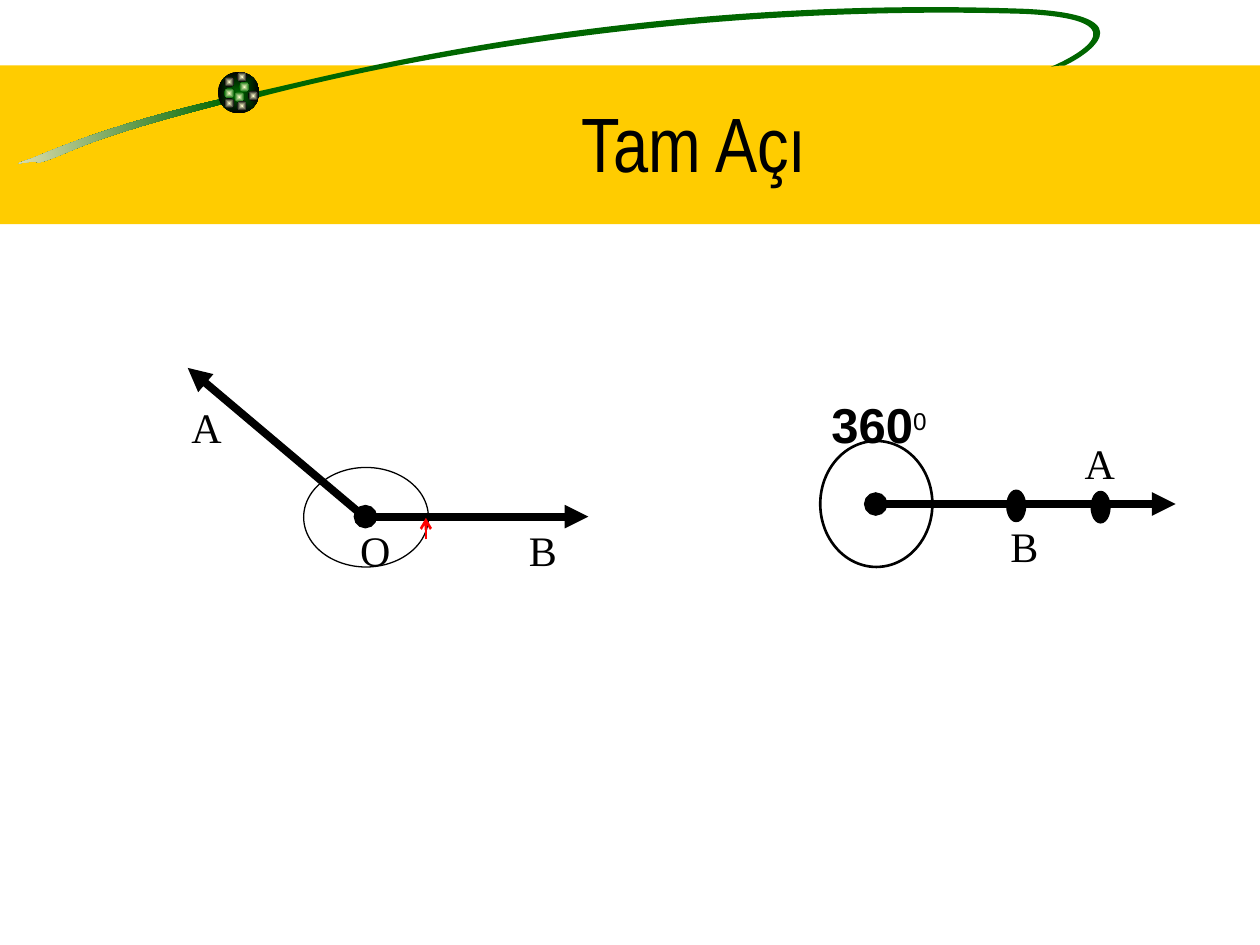
from math import cos, radians, sin

from lxml.etree import SubElement
from pptx import Presentation
from pptx.dml.color import RGBColor
from pptx.enum.shapes import MSO_CONNECTOR, MSO_SHAPE
from pptx.enum.text import MSO_ANCHOR, MSO_AUTO_SIZE, PP_ALIGN
from pptx.oxml.ns import qn
from pptx.util import Emu, Inches, Pt

BLACK, GREEN, CREAM = "000000", "006600", "FFFFCC"
COLUMNS = 100  # square grid cells across the slide
TILT = -8.5  # degrees by which both swoosh parts are turned

# Each outline is a start point followed by curves: two controls and an end.
TAIL = [(17.8, 7.8),
        [(9.1, 9.8), (4.9, 11.6), (2.5, 12.6)],
        [(0.1, 13.4), (2.6, 12.6), (3.1, 12.9)],
        [(5.7, 12.2), (5.7, 11.3), (17.9, 8.2)],
        [(17.9, 8.2), (17.8, 7.8), (17.8, 7.8)]]
LOOP = [(20.2, 7.3),
        [(24.6, 6.5), (48.6, -0.5), (81.4, 0.7)],
        [(91.7, 1.2), (85.7, 4.7), (84.5, 5.2)],
        [(84.5, 5.2), (83.8, 5.2), (83.4, 5.3)],
        [(84.4, 4.9), (91.6, 1.6), (81.3, 1.1)],
        [(54.8, 0.3), (32, 4.7), (20.6, 7.7)],
        [(20.6, 7.7), (20.2, 7.3), (20.2, 7.3)]]
# Left, top and outer colour of each light spot on the ball.
SPOTS = [(19, 6.5, GREEN), (17.8, 6.1, BLACK), (17.8, 7, GREEN),
         (18.6, 7.3, GREEN), (19.7, 7.2, BLACK), (18.8, 8, BLACK),
         (17.8, 7.8, BLACK), (18.8, 5.7, BLACK)]


def color(value):
    return RGBColor.from_string(value)


def add_run(paragraph, text, font="Times New Roman", size=24, bold=False, raised=False):
    run = paragraph.add_run()
    run.text = text
    run.font.name = font
    run.font.size = Pt(size)
    run.font.bold = bold
    run.font.color.rgb = color(BLACK)
    if raised:
        run._r.get_or_add_rPr().set("baseline", "30000")


def level_point(point, box):
    """Undo the tilt of a point about the centre of its box."""
    left, top, width, height = box
    center_x, center_y = left + width / 2, top + height / 2
    x, y = point[0] - center_x, point[1] - center_y
    angle = radians(-TILT)
    return (center_x + x * cos(angle) - y * sin(angle),
            center_y + x * sin(angle) + y * cos(angle))


class SlideBuilder:
    """Draws on one slide; all positions are in grid cells."""

    def __init__(self, presentation):
        self.slide = presentation.slides.add_slide(presentation.slide_layouts[6])
        self.shapes = self.slide.shapes
        self.cell = presentation.slide_width / COLUMNS

    def lengths(self, *cells):
        return [Emu(round(value * self.cell)) for value in cells]

    def style(self, shape, fill=None, gradient=None, centered=False, line_width=None):
        """Use a solid fill, a linear or centred gradient, or no fill."""
        shape.shadow.inherit = False
        if gradient:
            shape.fill.gradient()
            shape.fill.gradient_angle = 180
            for stop, (position, value) in zip(shape.fill.gradient_stops, enumerate(gradient)):
                stop.position = position
                stop.color.rgb = color(value)
            if centered:
                self.center_gradient(shape)
        elif fill:
            shape.fill.solid()
            shape.fill.fore_color.rgb = color(fill)
        else:
            shape.fill.background()
        if line_width:
            shape.line.color.rgb = color(BLACK)
            shape.line.width = Pt(line_width)
        else:
            shape.line.fill.background()

    def center_gradient(self, shape):
        gradient = shape._element.spPr.find(qn("a:gradFill"))
        gradient.remove(gradient.find(qn("a:lin")))
        route = SubElement(gradient, qn("a:path"), path="rect")
        SubElement(route, qn("a:fillToRect"), l="50000", t="50000", r="50000", b="50000")

    def preset(self, kind, left, top, width, height, **style):
        shape = self.shapes.add_shape(kind, *self.lengths(left, top, width, height))
        self.style(shape, **style)

    def ellipse(self, *box, **style):
        self.preset(MSO_SHAPE.OVAL, *box, **style)

    def tilted_outline(self, start, *curves, box, **style):
        """Draw a closed chain of cubic Bézier curves in a tilted box."""
        corners = [self.lengths(*level_point(point, box))
                   for point in (start, *(curve[-1] for curve in curves))]
        builder = self.shapes.build_freeform(*corners[0])
        builder.add_line_segments(corners[1:], close=True)
        shape = builder.convert_to_shape()
        shape.left, shape.top, shape.width, shape.height = self.lengths(*box)
        shape.rotation = TILT
        self.curve_segments(shape, curves, box)
        self.style(shape, **style)

    def curve_segments(self, shape, curves, box):
        """Replace the straight segments of a freeform by curves."""
        outline = next(shape._element.spPr.iter(qn("a:path")))
        outline.set("w", str(shape.width))
        outline.set("h", str(shape.height))
        for element in list(outline):
            outline.remove(element)
        segments = [("a:moveTo", curves[-1][-1:])]
        segments += [("a:cubicBezTo", curve) for curve in curves]
        for tag, points in segments:
            segment = SubElement(outline, qn(tag))
            for point in points:
                x, y = self.lengths(*level_point(point, box))
                SubElement(segment, qn("a:pt"), x=str(x - shape.left), y=str(y - shape.top))
        SubElement(outline, qn("a:close"))

    def arrow(self, start, end, value=BLACK, width=4.5, head=None, tail="triangle"):
        connector = self.shapes.add_connector(
            MSO_CONNECTOR.STRAIGHT, *self.lengths(*start, *end))
        connector.line.color.rgb = color(value)
        connector.line.width = Pt(width)
        line = connector.line._get_or_add_ln()
        if head:
            SubElement(line, qn("a:headEnd"), type=head)
        SubElement(line, qn("a:tailEnd"), type=tail)
        SubElement(connector._element.spPr, qn("a:effectLst"))

    def text_box(self, *box, space_before=15):
        """Return the empty first paragraph and the frame of a new text box."""
        frame = self.shapes.add_textbox(*self.lengths(*box)).text_frame
        frame.word_wrap = True
        frame.auto_size = MSO_AUTO_SIZE.SHAPE_TO_FIT_TEXT
        paragraph = frame.paragraphs[0]
        paragraph.space_before = Pt(space_before)
        return paragraph, frame

    def label(self, text, left, top, width):
        paragraph, _ = self.text_box(left, top, width, 5)
        add_run(paragraph, text)

    def title(self, text, *box):
        paragraph, frame = self.text_box(*box, space_before=0)
        frame.auto_size = MSO_AUTO_SIZE.NONE
        frame.vertical_anchor = MSO_ANCHOR.MIDDLE
        paragraph.alignment = PP_ALIGN.CENTER
        add_run(paragraph, text, font="Arial Narrow", size=44)


def draw_header(builder):
    builder.preset(MSO_SHAPE.RECTANGLE, 0, 5.2, COLUMNS, 12.6, fill="FFCC00")
    builder.tilted_outline(*TAIL, box=(-0.3, 9.1, 18.4, 3), gradient=(GREEN, "F5EBC1"))
    builder.tilted_outline(*LOOP, box=(20.1, -1.5, 71.6, 10.9), fill=GREEN)
    builder.ellipse(17.3, 5.7, 3.3, 3.3, gradient=(GREEN, BLACK), centered=True)
    for left, top, edge in SPOTS:
        builder.ellipse(left, top, 0.8, 0.8, gradient=(CREAM, edge), centered=True)
    builder.title("Tam Açı", 12.6, 5, 85, 12.5)


def draw_full_angle(builder):
    builder.arrow((69.5, 40), (93.3, 40), head="oval")
    builder.ellipse(65.1, 35, 8.9, 10, line_width=1.5)
    paragraph, _ = builder.text_box(65, 30.8, 10.4, 5.7)
    add_run(paragraph, "360", font="Arial", size=28, bold=True)
    add_run(paragraph, "0", font="Arial", raised=True)
    for left, top in ((79.9, 38.9), (86.6, 39)):
        builder.ellipse(left, top, 1.5, 2.5, fill=BLACK, line_width=0.75)
    builder.label("B", 79.2, 40.8, 6)
    builder.label("A", 85.1, 34.2, 6)


def draw_open_angle(builder):
    builder.arrow((29, 41.1), (14.9, 29.2))
    builder.arrow((29, 41), (46.7, 41), head="oval")
    builder.ellipse(24.1, 37.1, 9.9, 7.9, line_width=0.75)
    builder.arrow((33.8, 42.8), (33.8, 41.1), value="FF0000", width=1.5, tail="arrow")
    for text, left, top, width in (("O", 27.6, 41.1, 4.9), ("A", 14.2, 31.4, 6.4),
                                   ("B", 41, 41.1, 4.3)):
        builder.label(text, left, top, width)


if __name__ == "__main__":
    presentation = Presentation()
    presentation.slide_width, presentation.slide_height = Inches(10), Inches(7.5)
    slide_builder = SlideBuilder(presentation)
    draw_header(slide_builder)
    draw_full_angle(slide_builder)
    draw_open_angle(slide_builder)
    presentation.save("out.pptx")
